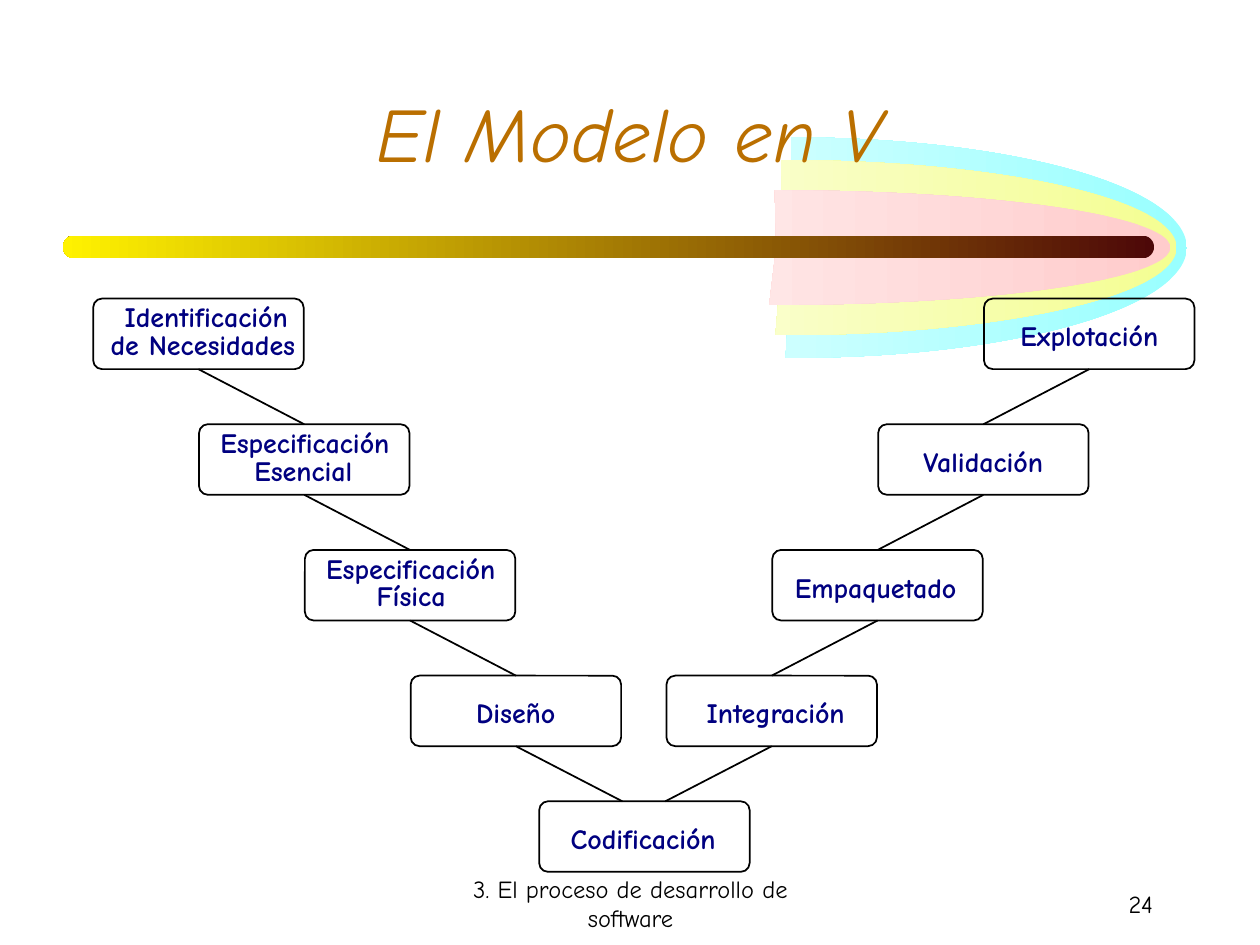
from dataclasses import dataclass
from math import cos, radians, sin, tan

from lxml.etree import SubElement
from pptx import Presentation
from pptx.dml.color import RGBColor
from pptx.enum.shapes import MSO_CONNECTOR, MSO_SHAPE
from pptx.enum.text import MSO_ANCHOR, MSO_AUTO_SIZE, PP_ALIGN
from pptx.oxml.ns import qn
from pptx.slide import Slide
from pptx.util import Inches, Pt

TOP, BOTTOM = 0, 2
BOX_WIDTH, BOX_HEIGHT = 1.67, 0.56
STEP_X = 0.84
FIRST_TOP, LAST_TOP = 2.37, 6.36
STEP_Y = (LAST_TOP - FIRST_TOP) / 4
DESCENDING = [
    [("Identificación", 0.89, 1.58), ("de Necesidades", 0.78, 1.67)],
    [("Especificación", 1.65, 1.62), ("Esencial", 1.92, 0.98)],
    [("Especificación", 2.49, 1.62), ("Física", 2.89, 0.75)],
    [("Diseño", 3.68, 0.83)],
]
CODING = [("Codificación", 4.43, 1.35)]
ASCENDING = [
    [("Explotación", 8, 1.3)],
    [("Validación", 7.23, 1.16)],
    [("Empaquetado", 6.21, 1.49)],
    [("Integración", 5.51, 1.31)],
]
FAN = [
    (3.16, 1.09, 1.75, "99FFFF"),
    (3.08, 1.27, 1.39, "F4FE92"),
    (3.03, 1.51, 0.91, "FFCCCC"),
]
FAN_WIDTH = 6.26
FAN_START, FAN_END, FAN_CURVES = -90.2, 91, 3


def color(value):
    return RGBColor.from_string(value)


def row_top(row):
    return FIRST_TOP + STEP_Y * row


def fan_curves(radius_x, radius_y):
    sweep = radians(FAN_END - FAN_START) / FAN_CURVES
    pull = 4 / 3 * tan(sweep / 4)

    def point(angle, tangent):
        return (radius_x * (1 + cos(angle) - tangent * sin(angle)),
                radius_y * (1 + sin(angle) + tangent * cos(angle)))

    angles = [radians(FAN_START) + sweep * i for i in range(FAN_CURVES + 1)]
    curves = [("cubicBezTo", [point(a, pull), point(b, -pull), point(b, 0)])
              for a, b in zip(angles, angles[1:])]
    return [("moveTo", [point(angles[0], 0)])] + curves


@dataclass
class SlidePainter:
    slide: Slide
    font: str = "Comic Neue"
    title_color: str = "BA6F00"
    label_color: str = "000080"
    line_color: str = "000000"

    def style(self, para, size, hex_color, align, bold=False, italic=False):
        para.alignment = align
        para.font.name = self.font
        para.font.size = Pt(size)
        para.font.bold = bold
        para.font.italic = italic
        para.font.color.rgb = color(hex_color)

    def gradient(self, shape, start, end):
        shape.shadow.inherit = False
        shape.line.fill.background()
        shape.fill.gradient()
        shape.fill.gradient_angle = 180
        for stop, value in zip(shape.fill.gradient_stops, (start, end)):
            stop.color.rgb = color(value)

    def outline(self, paths, shape, commands, **options):
        path = SubElement(paths, qn("a:path"), w=str(shape.width),
                          h=str(shape.height), **options)
        for name, points in commands:
            command = SubElement(path, qn(f"a:{name}"))
            for x, y in points:
                SubElement(command, qn("a:pt"), x=str(int(x)), y=str(int(y)))
        return path

    def fan(self, left, top, height, hex_color):
        right, bottom = left + FAN_WIDTH, top + height
        builder = self.slide.shapes.build_freeform(Inches(left), Inches(top), scale=1.0)
        builder.add_line_segments([
            (Inches(x), Inches(y))
            for x, y in ((right, top), (right, bottom), (left, bottom))])
        fan = builder.convert_to_shape()
        paths = fan.element.spPr.find(qn("a:custGeom")).find(qn("a:pathLst"))
        paths.remove(paths[0])
        center = (fan.width / 2, fan.height / 2)
        curves = fan_curves(*center)
        wedge = self.outline(paths, fan, curves + [("lnTo", [center])], stroke="0")
        SubElement(wedge, qn("a:close"))
        self.outline(paths, fan, curves, fill="none")
        self.gradient(fan, hex_color, "FFFFFF")

    def rounded(self, left, top, width, height, corner):
        box = self.slide.shapes.add_shape(
            MSO_SHAPE.ROUNDED_RECTANGLE,
            Inches(left), Inches(top), Inches(width), Inches(height))
        box.adjustments[0] = corner
        box.shadow.inherit = False
        return box

    def title(self, text, left, top, width, height):
        title = self.slide.shapes.title
        title.left, title.top = Inches(left), Inches(top)
        title.width, title.height = Inches(width), Inches(height)
        title.text_frame.text = text
        title.text_frame.vertical_anchor = MSO_ANCHOR.MIDDLE
        self.style(title.text_frame.paragraphs[0], 44, self.title_color,
                   PP_ALIGN.CENTER, italic=True)
        title.element.getparent().append(title.element)

    def phase(self, left, top):
        box = self.rounded(left, top, BOX_WIDTH, BOX_HEIGHT, 0.125)
        box.fill.background()
        box.line.color.rgb = color(self.line_color)
        box.line.width = Pt(1)
        return box

    def text_box(self, text, left, top, width, height):
        box = self.slide.shapes.add_textbox(
            Inches(left), Inches(top), Inches(width), Inches(height))
        box.text_frame.text = text
        return box.text_frame

    def labels(self, lines, top):
        offsets = (-0.04, 0.18) if len(lines) == 2 else (0.11,)
        for (text, left, width), offset in zip(lines, offsets):
            frame = self.text_box(text, left, top + offset, width, 0.37)
            frame.word_wrap = False
            frame.auto_size = MSO_AUTO_SIZE.SHAPE_TO_FIT_TEXT
            self.style(frame.paragraphs[0], 16, self.label_color,
                       PP_ALIGN.LEFT, bold=True)

    def link(self, upper, lower, end_x=None):
        link = self.slide.shapes.add_connector(
            MSO_CONNECTOR.STRAIGHT, upper.left + upper.width // 2,
            upper.top + upper.height, Inches(end_x or 0), lower.top)
        link.begin_connect(upper, BOTTOM)
        if end_x is None:
            link.end_connect(lower, TOP)
        link.line.color.rgb = color(self.line_color)
        link.line.width = Pt(1)
        SubElement(link.element.spPr, qn("a:effectLst"))

    def branch_links(self, boxes, base, end_x):
        for upper, lower in zip(boxes, boxes[1:]):
            self.link(upper, lower)
        self.link(boxes[-1], base, end_x)

    def footer(self, text, left, width, align):
        frame = self.text_box(text, left, 6.92, width, 0.5)
        frame.word_wrap = True
        frame.vertical_anchor = MSO_ANCHOR.MIDDLE
        self.style(frame.paragraphs[0], 14, self.line_color, align)


def main():
    deck = Presentation()
    deck.slide_width, deck.slide_height = Inches(10), Inches(7.5)
    painter = SlidePainter(deck.slides.add_slide(deck.slide_layouts[5]))
    for layer in FAN:
        painter.fan(*layer)
    bar = painter.rounded(0.5, 1.87, 8.66, 0.18, 0.5)
    painter.gradient(bar, "4D0808", "FFF200")
    painter.title("El Modelo en V", 0.75, 0.42, 8.5, 1.25)
    left_boxes = [painter.phase(0.74 + STEP_X * row, row_top(row)) for row in range(4)]
    coding = painter.phase(4.28, LAST_TOP)
    right_boxes = [painter.phase(7.81 - STEP_X * row, row_top(row)) for row in range(4)]
    for branch in (DESCENDING + [CODING], ASCENDING):
        for row, lines in enumerate(branch):
            painter.labels(lines, row_top(row))
    painter.branch_links(left_boxes, coding, 4.94)
    painter.branch_links(right_boxes, coding, 5.28)
    painter.footer("3. El proceso de desarrollo de software",
                   3.42, 3.17, PP_ALIGN.CENTER)
    painter.footer("24", 7.17, 2.08, PP_ALIGN.RIGHT)
    deck.save("out.pptx")


if __name__ == "__main__":
    main()
